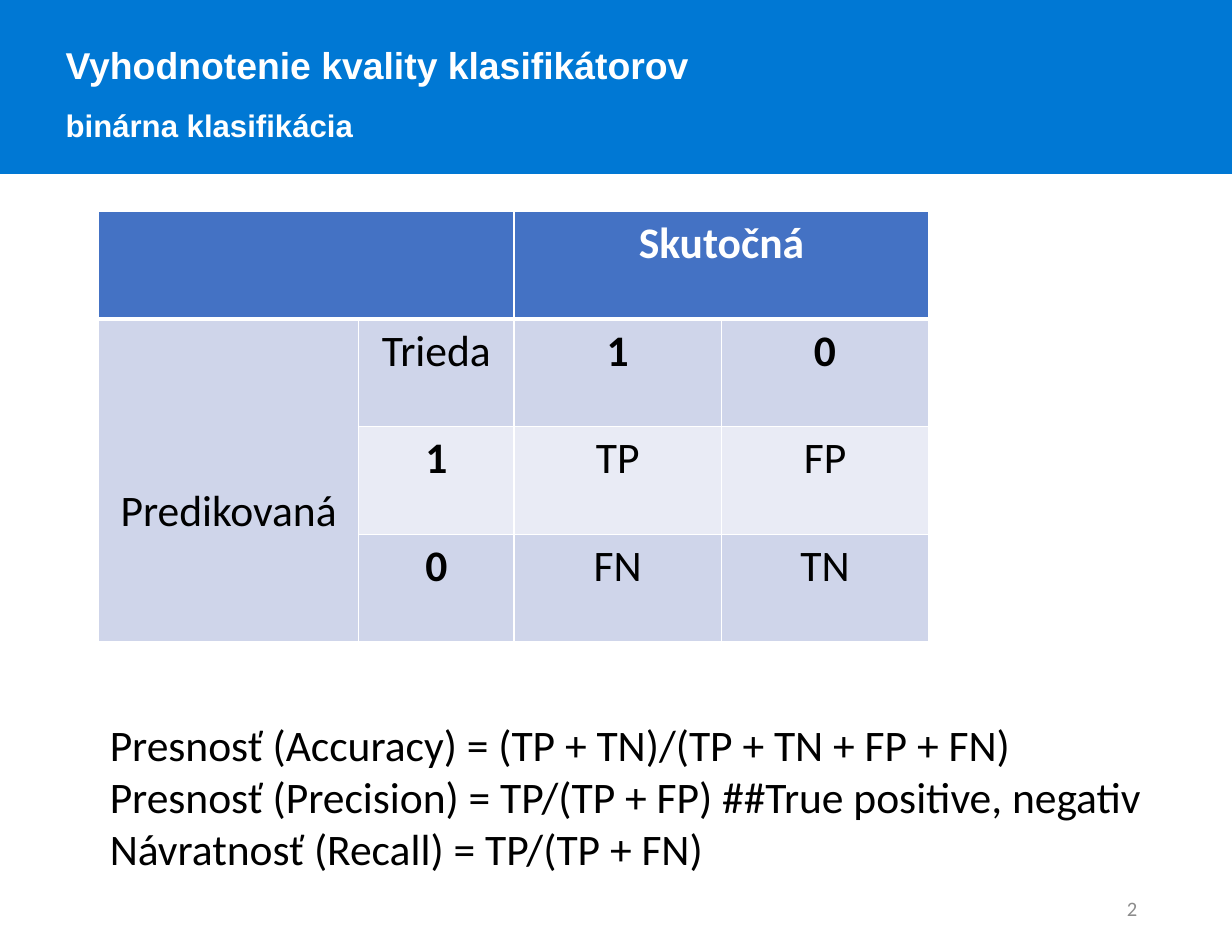
from dataclasses import dataclass

from lxml.etree import SubElement
from pptx import Presentation
from pptx.dml.color import RGBColor
from pptx.enum.shapes import MSO_SHAPE
from pptx.enum.text import MSO_ANCHOR, PP_ALIGN
from pptx.oxml.ns import qn
from pptx.util import Cm, Pt

WHITE = RGBColor(0xFF, 0xFF, 0xFF)
BLACK = RGBColor(0, 0, 0)
GREY = RGBColor(0x8C, 0x8C, 0x8C)
BANNER_BLUE = RGBColor(0x00, 0x78, 0xD4)
HEADER_BLUE = RGBColor(0x44, 0x72, 0xC4)
BAND_DARK = RGBColor(0xCF, 0xD5, 0xEA)
BAND_LIGHT = RGBColor(0xE9, 0xEB, 0xF5)

ROW_FILLS = [HEADER_BLUE, BAND_DARK, BAND_LIGHT, BAND_DARK]
COLUMN_WIDTHS = [5.89, 3.53, 4.7, 4.7]
ROW_HEIGHT = 2.44


@dataclass
class Entry:
    row: int
    column: int
    text: str
    bold: bool = False
    color: RGBColor = BLACK


ENTRIES = [
    Entry(0, 2, "Skutočná", True, WHITE),
    Entry(1, 0, "Predikovaná"),
    Entry(1, 1, "Trieda"),
    Entry(1, 2, "1", True),
    Entry(1, 3, "0", True),
    Entry(2, 1, "1", True),
    Entry(2, 2, "TP"),
    Entry(2, 3, "FP"),
    Entry(3, 1, "0", True),
    Entry(3, 2, "FN"),
    Entry(3, 3, "TN"),
]


def write(paragraph, text: str, *, size: float = 28, font: str = "Calibri",
          color: RGBColor = BLACK, bold: bool = False,
          align: PP_ALIGN = PP_ALIGN.LEFT, spacing: float = 1.0) -> None:
    paragraph.alignment = align
    paragraph.line_spacing = spacing
    run = paragraph.add_run()
    run.text = text
    run.font.size = Pt(size)
    run.font.name = font
    run.font.bold = bold
    run.font.color.rgb = color


def add_text_frame(slide, left: float, top: float, width: float, height: float,
                   wrap: bool = True):
    box = slide.shapes.add_textbox(Cm(left), Cm(top), Cm(width), Cm(height))
    box.text_frame.word_wrap = wrap
    return box.text_frame


def add_borders(cell, top: float, bottom: float) -> None:
    properties = cell._tc.get_or_add_tcPr()
    for side, width in (("L", 1), ("R", 1), ("T", top), ("B", bottom)):
        line = SubElement(properties, qn(f"a:ln{side}"), w=str(Pt(width)))
        fill = SubElement(line, qn("a:solidFill"))
        SubElement(fill, qn("a:srgbClr"), val=str(WHITE))


def add_confusion_matrix(slide) -> None:
    rows, columns = len(ROW_FILLS), len(COLUMN_WIDTHS)
    table = slide.shapes.add_table(
        rows, columns, Cm(2.24), Cm(4.8),
        Cm(sum(COLUMN_WIDTHS)), Cm(rows * ROW_HEIGHT)).table
    for column, width in zip(table.columns, COLUMN_WIDTHS):
        column.width = Cm(width)
    for index, row in enumerate(table.rows):
        row.height = Cm(ROW_HEIGHT)
        for cell in row.cells:
            add_borders(cell, top=3 if index == 1 else 1,
                        bottom=3 if index == 0 else 1)
            cell.fill.solid()
            cell.fill.fore_color.rgb = ROW_FILLS[index]

    table.cell(0, 0).merge(table.cell(0, 1))
    table.cell(0, 2).merge(table.cell(0, 3))
    table.cell(1, 0).merge(table.cell(3, 0))
    table.cell(1, 0).margin_top = Cm(3.75)

    for entry in ENTRIES:
        paragraph = table.cell(entry.row, entry.column).text_frame.paragraphs[0]
        write(paragraph, entry.text, bold=entry.bold, color=entry.color,
              align=PP_ALIGN.CENTER)


def main() -> None:
    presentation = Presentation()
    presentation.slide_width = Cm(27.94)
    presentation.slide_height = Cm(21.59)
    slide = presentation.slides.add_slide(presentation.slide_layouts[6])

    # Title banner
    banner = slide.shapes.add_shape(
        MSO_SHAPE.RECTANGLE, 0, 0, presentation.slide_width, Cm(3.94))
    banner.shadow.inherit = False
    banner.fill.solid()
    banner.fill.fore_color.rgb = BANNER_BLUE
    banner.line.color.rgb = BANNER_BLUE
    banner.line.width = Pt(1)

    title = add_text_frame(slide, 1.24, 0.33, 25.86, 4.09)
    heading = {"font": "Arial", "color": WHITE, "bold": True, "spacing": 1.5}
    write(title.paragraphs[0], "Vyhodnotenie kvality klasifikátorov",
          size=24, **heading)
    write(title.add_paragraph(), "binárna klasifikácia", size=20, **heading)

    # Slide number
    number = add_text_frame(slide, 19.74, 20.02, 6.3, 1.14)
    number.vertical_anchor = MSO_ANCHOR.MIDDLE
    write(number.paragraphs[0], "2", size=13.2, color=GREY,
          align=PP_ALIGN.RIGHT)

    # Confusion matrix
    add_confusion_matrix(slide)

    # Metric formulas
    formulas = add_text_frame(slide, 2.24, 16.15, 24.18, 3.84, wrap=False)
    write(formulas.paragraphs[0],
          "Presnosť (Accuracy) = (TP + TN)/(TP + TN + FP + FN)")
    for formula in (
        "Presnosť (Precision) = TP/(TP + FP) ##True positive, negativ",
        "Návratnosť (Recall) = TP/(TP + FN)",
    ):
        write(formulas.add_paragraph(), formula)

    presentation.save("out.pptx")


if __name__ == "__main__":
    main()
